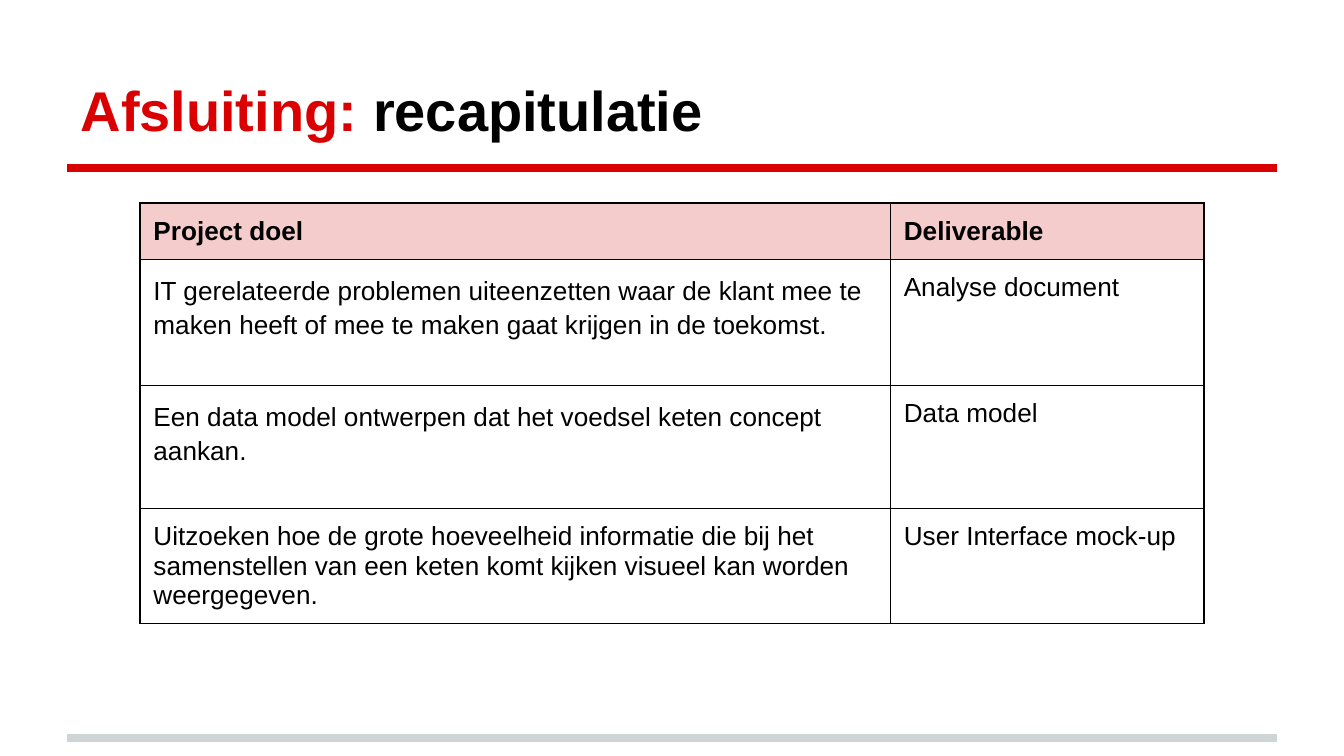
from pptx import Presentation
from pptx.dml.color import RGBColor
from pptx.enum.shapes import MSO_CONNECTOR as Connector
from pptx.enum.text import MSO_ANCHOR as Anchor, PP_ALIGN as Align
from pptx.oxml.ns import qn
from pptx.util import Pt
from lxml import etree

RED = RGBColor(0xDA, 0x00, 0x02)
GRAY = RGBColor(0xCF, 0xD4, 0xD4)
PINK = RGBColor(0xF4, 0xCC, 0xCC)
BLACK = RGBColor(0x00, 0x00, 0x00)

FONT = "Arial"
INSET = Pt(7.2)
COLUMN_WIDTHS = (402, 168)
ROW_HEIGHTS = (30.2, 67.5, 66.2, 61.6)
LOOSE_ROWS = (1, 2)
GOALS = (
    ("Project doel", "Deliverable"),
    ("IT gerelateerde problemen uiteenzetten waar de klant mee te maken heeft "
     "of mee te maken gaat krijgen in de toekomst.", "Analyse document"),
    ("Een data model ontwerpen dat het voedsel keten concept aankan.",
     "Data model"),
    ("Uitzoeken hoe de grote hoeveelheid informatie die bij het samenstellen "
     "van een keten komt kijken visueel kan worden weergegeven.",
     "User Interface mock-up"),
)


def set_insets(box):
    box.margin_left = box.margin_right = INSET
    box.margin_top = box.margin_bottom = INSET


def style_font(font, size, bold):
    font.name = FONT
    font.size = Pt(size)
    font.bold = bold


def add_rule(page, left, top, width, color):
    rule = page.shapes.add_connector(
        Connector.STRAIGHT, Pt(left), Pt(top), Pt(left + width), Pt(top))
    rule.line.color.rgb = color
    rule.line.width = Pt(4)
    etree.SubElement(rule._element.spPr, qn("a:effectLst"))


def add_title(page, left, top, width, height):
    title = page.shapes.title
    title.left, title.top = Pt(left), Pt(top)
    title.width, title.height = Pt(width), Pt(height)
    frame = title.text_frame
    set_insets(frame)
    frame.word_wrap = True
    frame.vertical_anchor = Anchor.BOTTOM
    para = frame.paragraphs[0]
    para.alignment = Align.LEFT
    style_font(para.font, 30, True)
    for text, color in (("Afsluiting: ", RED), ("recapitulatie", BLACK)):
        span = para.add_run()
        span.text = text
        span.font.color.rgb = color


def add_borders(cell):
    properties = cell._tc.get_or_add_tcPr()
    for side in ("lnL", "lnR", "lnT", "lnB"):
        line = etree.SubElement(properties, qn(f"a:{side}"), w=str(Pt(0.75)))
        fill = etree.SubElement(line, qn("a:solidFill"))
        etree.SubElement(fill, qn("a:srgbClr"), val=str(BLACK))


def add_goal_table(page, left, top):
    table = page.shapes.add_table(
        len(GOALS), len(COLUMN_WIDTHS), Pt(left), Pt(top),
        Pt(sum(COLUMN_WIDTHS)), Pt(sum(ROW_HEIGHTS))).table
    table.first_row = table.horz_banding = False
    for column, width in zip(table.columns, COLUMN_WIDTHS):
        column.width = Pt(width)
    for r, (row, height) in enumerate(zip(table.rows, ROW_HEIGHTS)):
        row.height = Pt(height)
        for c, cell in enumerate(row.cells):
            set_insets(cell)
            add_borders(cell)
            if r == 0:
                cell.fill.solid()
                cell.fill.fore_color.rgb = PINK
            else:
                cell.fill.background()
            cell.text = GOALS[r][c]
            para = cell.text_frame.paragraphs[0]
            if c == 0 and r in LOOSE_ROWS:
                para.line_spacing = 1.15
            style_font(para.font, 14, r == 0)
            para.font.color.rgb = BLACK


def main():
    deck = Presentation()
    deck.slide_width, deck.slide_height = Pt(720), Pt(405)
    page = deck.slides.add_slide(deck.slide_layouts[5])
    add_rule(page, 36, 395.5, 648, GRAY)
    add_rule(page, 36, 90, 648, RED)
    add_title(page, 36, 16.2, 648, 67.5)
    add_goal_table(page, 75, 108.7)
    deck.save("out.pptx")


if __name__ == "__main__":
    main()
